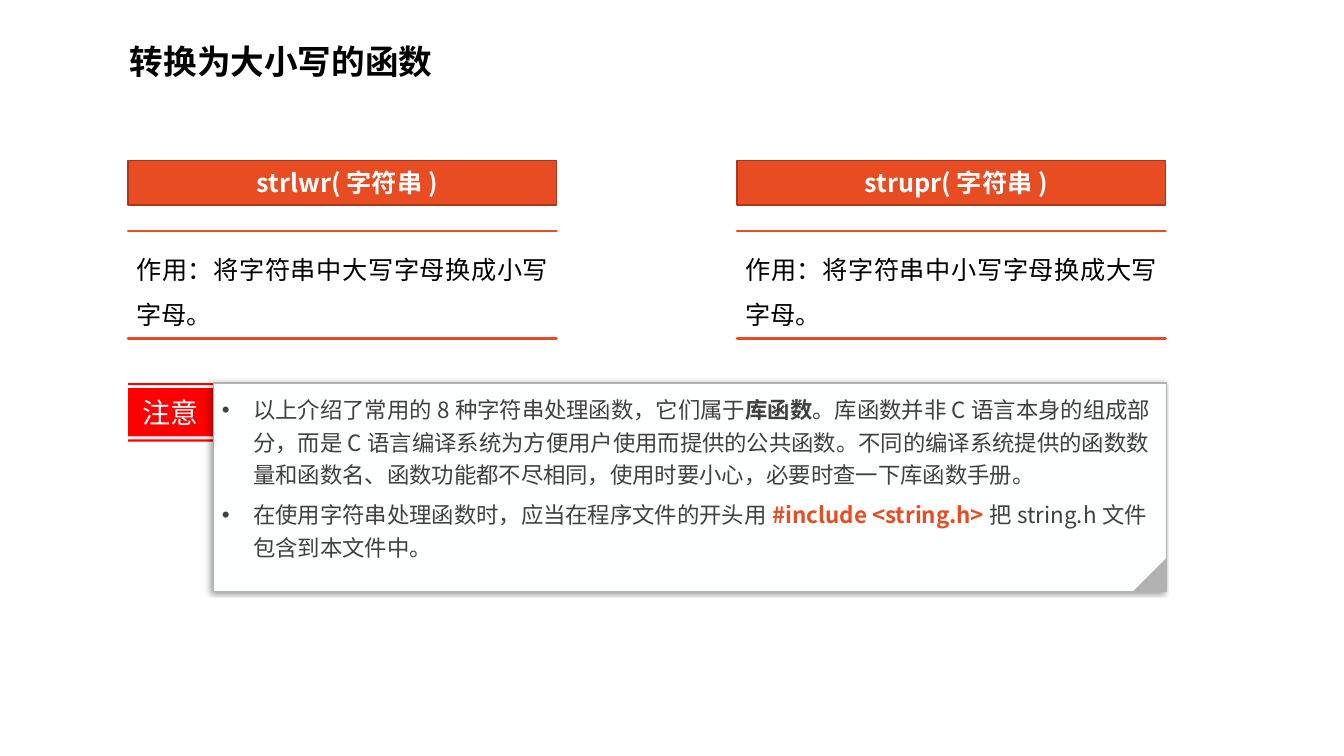
"""Build the slide on string functions that change letter case."""
from dataclasses import dataclass

from lxml import etree
from pptx import Presentation
from pptx import util as u
from pptx.dml.color import RGBColor
from pptx.enum import shapes, text
from pptx.oxml import ns

FONT = "Noto Sans CJK SC"
BLACK = RGBColor(0x00, 0x00, 0x00)
ORANGE = RGBColor(0xE8, 0x4C, 0x22)
RUST = RGBColor(0xAC, 0x38, 0x19)
RED = RGBColor(0xFF, 0x00, 0x00)
WHITE = RGBColor(0xFF, 0xFF, 0xFF)
PAPER = RGBColor(0xFE, 0xFF, 0xFF)
GREY = RGBColor(0xB2, 0xB2, 0xB2)
DARK = RGBColor(0x40, 0x40, 0x40)
ALIGN = text.PP_ALIGN
ANCHOR = text.MSO_ANCHOR
LEFT, NOTE_LEFT, NOTE_TOP = 91.5, 152.6, 273.6
CARD_WIDTH, NOTE_WIDTH, NOTE_HEIGHT, FOLD = 306, 680.4, 149, 23.8


@dataclass
class Card:
    left: float
    title: str
    body: str


@dataclass
class Piece:
    words: str
    bold: bool = False
    color: RGBColor = DARK


CARDS = [
    Card(LEFT, "strlwr(字符串)", "作用：将字符串中大写字母换成小写字母。"),
    Card(526.5, "strupr(字符串)", "作用：将字符串中小写字母换成大写字母。"),
]
NOTES = [
    [
        Piece("以上介绍了常用的8种字符串处理函数，它们属于"),
        Piece("库函数", True),
        Piece("。库函数并非C语言本身的组成部分，而是C语言编译系统为方便用户使用而提供的公共函数。"
              "不同的编译系统提供的函数数量和函数名、函数功能都不尽相同，使用时要小心，必要时查一下库函数手册。"),
    ],
    [
        Piece("在使用字符串处理函数时，应当在程序文件的开头用"),
        Piece("#include <string.h>", True, ORANGE),
        Piece("把string.h文件包含到本文件中。"),
    ],
]


def add_child(parent, tag: str, **attrs: str):
    """Append a DrawingML element and return it."""
    return etree.SubElement(parent, ns.qn(tag), attrs)


def set_frame(sp, anchor=ANCHOR.TOP, insets=(7.2, 3.6, 7.2, 3.6)):
    """Set wrapping, anchor and insets, and return the text frame."""
    tf = sp.text_frame
    tf.word_wrap = True
    tf.vertical_anchor = anchor
    tf.margin_left, tf.margin_top, tf.margin_right, tf.margin_bottom = map(u.Pt, insets)
    return tf


def write(p, words: str, *, size: float, color: RGBColor, bold: bool = False,
          align=ALIGN.LEFT, spacing: float = 1.0, after: float = 0) -> None:
    """Add a formatted run to a paragraph."""
    p.alignment = align
    p.line_spacing = spacing
    p.space_after = u.Pt(after)
    r = p.add_run()
    r.text = words
    r.font.name = FONT
    r.font.size = u.Pt(size)
    r.font.bold = bold
    r.font.color.rgb = color
    add_child(r.font._element, "a:ea", typeface=FONT)


def paint(sp, fill=None, line=None, weight: float = 1):
    """Set fill and outline, drop the shadow, and return the shape."""
    sp.shadow.inherit = False
    if fill is None:
        sp.fill.background()
    else:
        sp.fill.solid()
        sp.fill.fore_color.rgb = fill
    if line is None:
        sp.line.fill.background()
    else:
        sp.line.color.rgb = line
        sp.line.width = u.Pt(weight)
    return sp


def add_preset(s, kind, left: float, top: float, width: float, height: float, **style):
    """Add a painted preset shape."""
    sp = s.shapes.add_shape(kind, u.Pt(left), u.Pt(top), u.Pt(width), u.Pt(height))
    return paint(sp, **style)


def add_outline(s, contours, **style):
    """Add a painted freeform made of closed contours."""
    scaled = [[(u.Pt(x), u.Pt(y)) for x, y in points] for points in contours]
    builder = s.shapes.build_freeform(*scaled[0][0])
    for i, (start, *rest) in enumerate(scaled):
        if i:
            builder.move_to(*start)
        builder.add_line_segments(rest, close=True)
    return paint(builder.convert_to_shape(), **style)


def draw_card(s, card: Card) -> None:
    """Draw a function heading and its ruled description."""
    sp = add_preset(s, shapes.MSO_SHAPE.RECTANGLE, card.left, 114.5, CARD_WIDTH, 32,
                    fill=ORANGE, line=RUST)
    tf = set_frame(sp, ANCHOR.MIDDLE, (14.4, 3.6, 7.2, 3.6))
    write(tf.paragraphs[0], card.title, size=18, color=WHITE, bold=True, align=ALIGN.CENTER)
    right = card.left + CARD_WIDTH
    rules = [[(card.left, y), (right, y), (card.left, y)] for y in (241.6, 165)]
    tf = set_frame(add_outline(s, rules, line=ORANGE, weight=2), insets=(5.8,) * 4)
    write(tf.paragraphs[0], card.body, size=18, color=BLACK, align=ALIGN.JUSTIFY,
          spacing=1.5, after=6)


def draw_label(s) -> None:
    """Draw the red label with a thin bar above and below."""
    bands = [(313.9, 315.4), (277.2, 311.8), (NOTE_TOP, 275.1)]
    contours = [[(LEFT, top), (NOTE_LEFT, top), (NOTE_LEFT, bottom), (LEFT, bottom)]
                for top, bottom in bands]
    tf = set_frame(add_outline(s, contours, fill=RED), ANCHOR.MIDDLE)
    write(tf.paragraphs[0], "注意", size=20, color=PAPER, align=ALIGN.CENTER)


def draw_note(s) -> None:
    """Draw the shadowed note with its bullets and folded corner."""
    sp = add_preset(s, shapes.MSO_SHAPE.RECTANGLE, NOTE_LEFT, NOTE_TOP, NOTE_WIDTH, NOTE_HEIGHT,
                    fill=PAPER, line=GREY, weight=0.75)
    effects = sp._element.spPr.find(ns.qn("a:effectLst"))
    shadow = add_child(effects, "a:outerShdw", blurRad=str(u.Pt(4)), dist=str(u.Pt(3)),
                       dir="10800000", algn="r", rotWithShape="0")
    add_child(add_child(shadow, "a:srgbClr", val="000000"), "a:alpha", val="40000")
    tf = set_frame(sp, insets=(5.8,) * 4)
    for i, pieces in enumerate(NOTES):
        p = tf.add_paragraph() if i else tf.paragraphs[0]
        pPr = p._p.get_or_add_pPr()
        pPr.set("marL", str(u.Pt(22.5)))
        pPr.set("indent", str(u.Pt(-22.5)))
        add_child(pPr, "a:buFont", typeface="Arial")
        add_child(pPr, "a:buChar", char="•")
        for piece in pieces:
            write(p, piece.words, size=16, color=piece.color, bold=piece.bold,
                  spacing=1.2, after=6)
    fold = add_preset(s, shapes.MSO_SHAPE.RIGHT_TRIANGLE, NOTE_LEFT + NOTE_WIDTH - FOLD,
                      NOTE_TOP + NOTE_HEIGHT - FOLD, FOLD, FOLD, fill=GREY)
    fold.rotation = 270


def main() -> None:
    """Build and save the presentation."""
    prs = Presentation()
    prs.slide_width, prs.slide_height = u.Pt(960), u.Pt(540)
    s = prs.slides.add_slide(prs.slide_layouts[6])
    title = s.shapes.add_textbox(u.Pt(85.7), u.Pt(28.8), u.Pt(466.6), u.Pt(104.4))
    write(set_frame(title).paragraphs[0], "转换为大小写的函数", size=24, color=BLACK,
          bold=True, spacing=0.9)
    for card in CARDS:
        draw_card(s, card)
    draw_label(s)
    draw_note(s)
    prs.save("out.pptx")


if __name__ == "__main__":
    main()
